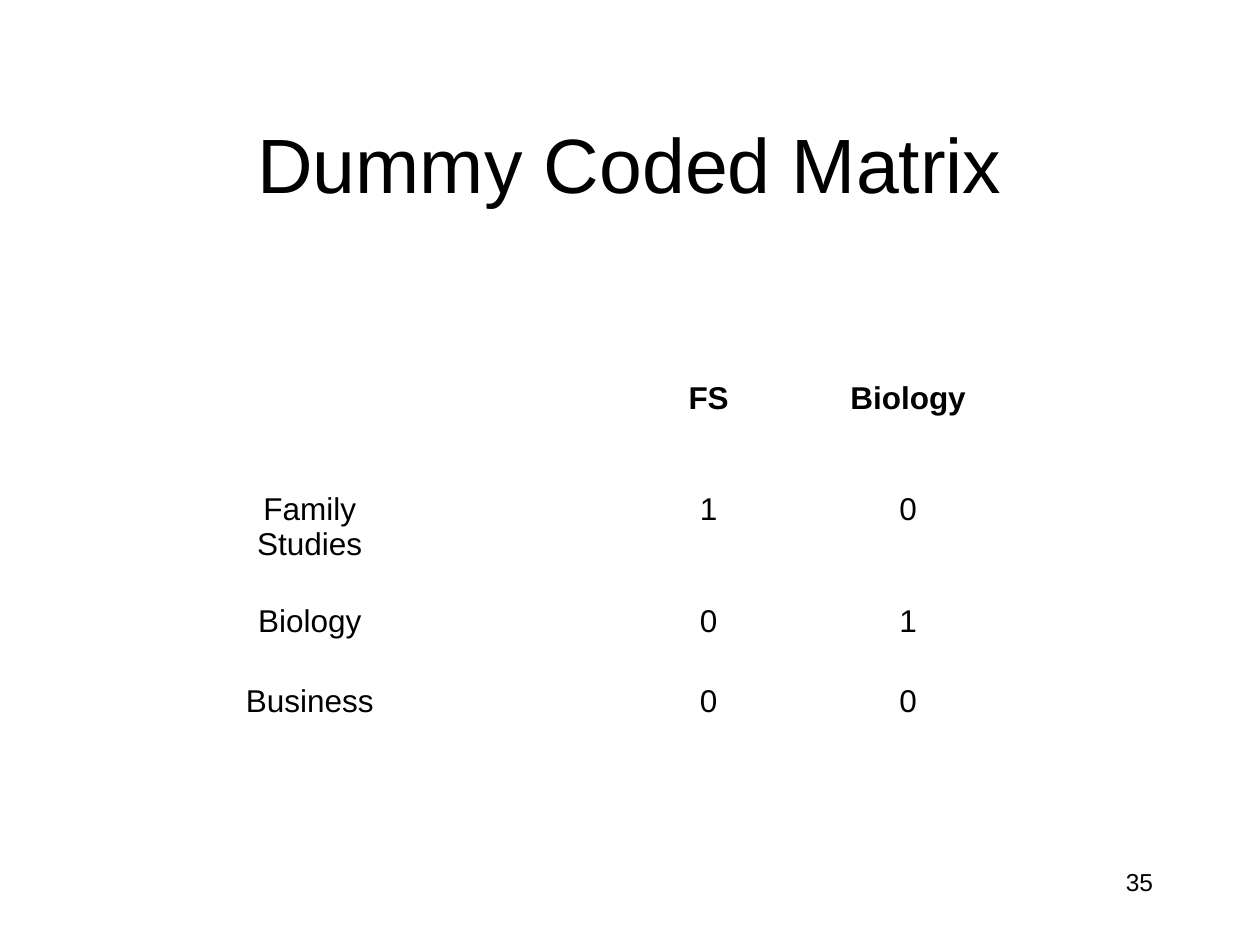
from pptx import Presentation
from pptx.dml.color import RGBColor
from pptx.enum.text import MSO_ANCHOR, PP_ALIGN
from pptx.util import Pt

CENTER, RIGHT = PP_ALIGN.CENTER, PP_ALIGN.RIGHT
TOP, MIDDLE = MSO_ANCHOR.TOP, MSO_ANCHOR.MIDDLE
PX = 9525  # EMU per px, 96 px to the inch
COLORS = {"text": "000000"}


def write(text_frame, text, size, alignment, bold=False):
    text_frame.word_wrap = True
    paragraph = text_frame.paragraphs[0]
    paragraph.text = text
    paragraph.alignment = alignment
    font = paragraph.font
    font.name = "Arial"
    font.size = Pt(size)
    font.bold = bold
    font.color.rgb = RGBColor.from_string(COLORS["text"])


presentation = Presentation()
presentation.slide_width = 960 * PX
presentation.slide_height = 720 * PX
slide = presentation.slides.add_slide(presentation.slide_layouts[6])

# Title and page number
for text, left, top, width, height, size, alignment, anchor in [
    ("Dummy Coded Matrix", 72, 64, 816, 120, 44, CENTER, MIDDLE),
    ("35", 688, 656, 200, 48, 14, RIGHT, TOP),
]:
    box = slide.shapes.add_textbox(left * PX, top * PX, width * PX, height * PX)
    box.text_frame.vertical_anchor = anchor
    write(box.text_frame, text, size, alignment)

# Matrix: the first row is a merged, empty heading
matrix = [
    ["", "", "", ""],
    ["", "", "FS", "Biology"],
    ["Family Studies", "", "1", "0"],
    ["Biology", "", "0", "1"],
    ["Business", "", "0", "0"],
]
header_row = 1
column_width = 152
row_heights = [85, 85, 85, 61, 85]

table = slide.shapes.add_table(
    len(matrix), len(matrix[0]), 160 * PX, 200 * PX,
    column_width * len(matrix[0]) * PX, sum(row_heights) * PX,
).table
table.first_row = False
table.horz_banding = False
for column in table.columns:
    column.width = column_width * PX
for row, height in zip(table.rows, row_heights):
    row.height = height * PX
table.cell(0, 2).merge(table.cell(0, 3))

for row_index, values in enumerate(matrix):
    for column_index, value in enumerate(values):
        cell = table.cell(row_index, column_index)
        cell.fill.background()
        if value:
            write(cell.text_frame, value, 18, CENTER, row_index == header_row)

# Cells carry no visible grid lines
for cell in table.iter_cells():
    for side in ("left", "right", "top", "bottom"):
        setattr(cell, f"margin_{side}", (10 if side in ("left", "right") else 5) * PX)

presentation.save("out.pptx")
